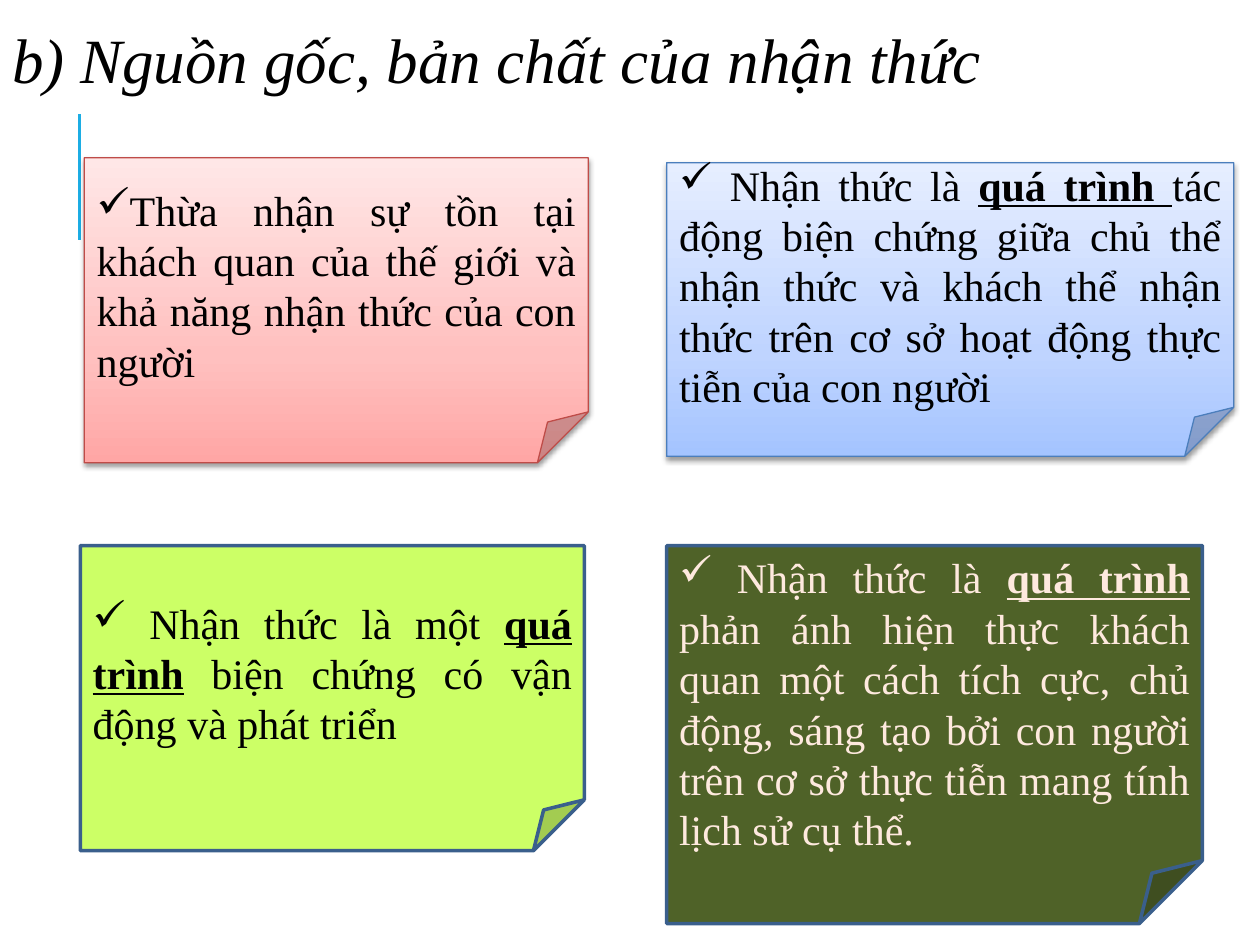
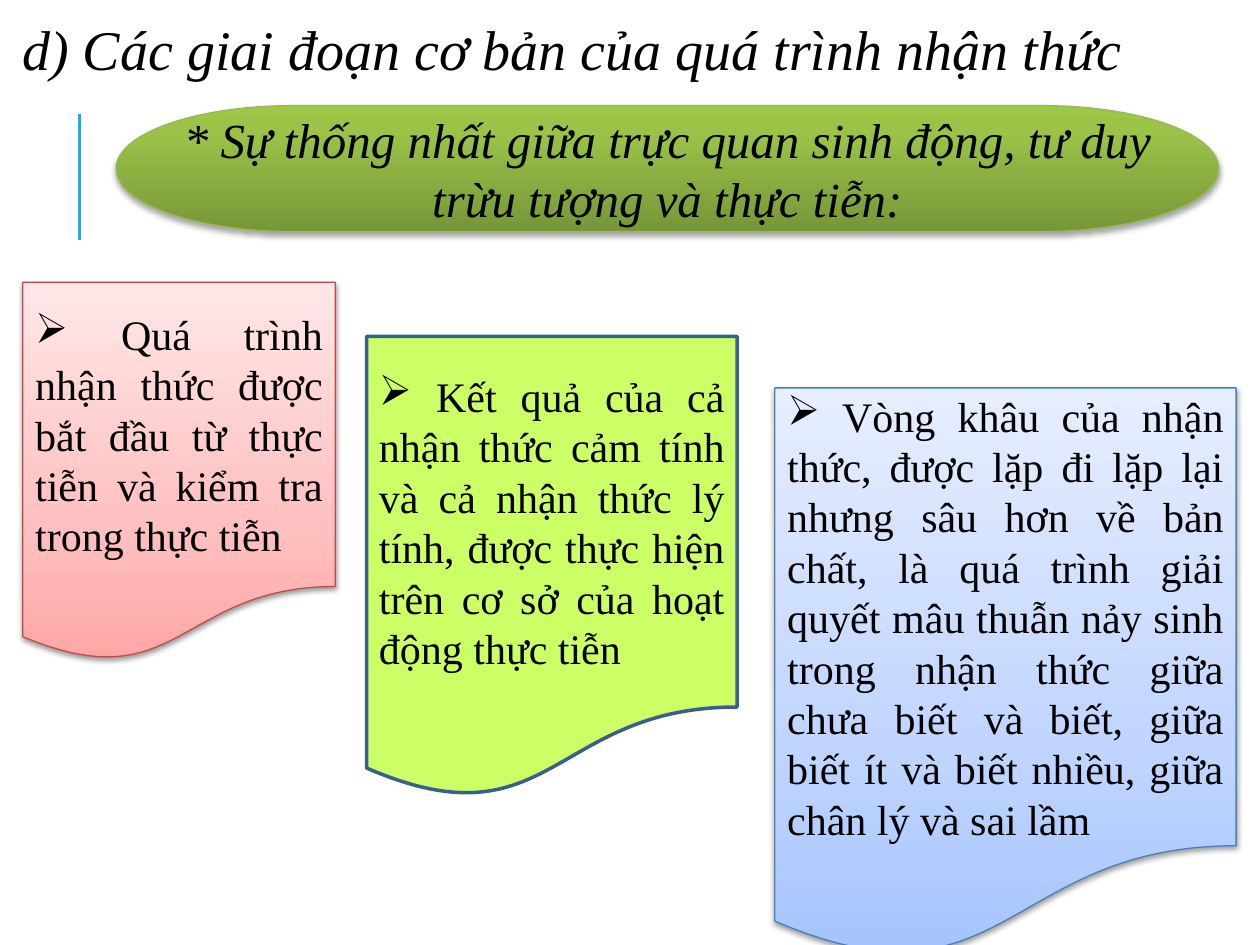
from dataclasses import dataclass

from lxml import etree
from pptx import Presentation
from pptx import util as u
from pptx.dml.color import RGBColor
from pptx.enum import shapes, text
from pptx.oxml.ns import qn

BLACK = RGBColor(0x00, 0x00, 0x00)
CREAM = RGBColor(0xFE, 0xE9, 0xDE)
CYAN = RGBColor(0x1C, 0xAD, 0xE4)
NAVY = RGBColor(0x3A, 0x5F, 0x8C)
LIME = RGBColor(0xCC, 0xFF, 0x66)
OLIVE = RGBColor(0x4F, 0x62, 0x28)
RED = RGBColor(0xBF, 0x4C, 0x48)
PINKS = (RGBColor(0xFF, 0xA6, 0xA5), RGBColor(0xFF, 0xC0, 0xBF), RGBColor(0xFF, 0xE7, 0xE7))
BLUE = RGBColor(0x4B, 0x7E, 0xBC)
PALE_BLUES = (RGBColor(0xA4, 0xC4, 0xFF), RGBColor(0xBF, 0xD4, 0xFF), RGBColor(0xE6, 0xEE, 0xFF))
LEAF = RGBColor(0x98, 0xB9, 0x55)
GREENS = (RGBColor(0x77, 0x97, 0x37), RGBColor(0x9B, 0xC3, 0x48), RGBColor(0x9D, 0xC7, 0x46))


@dataclass(frozen=True)
class Look:
    """Fill of one colour, or of three with a shadow below."""
    colors: tuple
    line: RGBColor = NAVY
    line_width: float = 2
    ink: RGBColor = BLACK
    middle_stop: int = 35
    shadow_alpha: int = 38
    shadow_distance: float = 1.6


PINK_LOOK = Look(PINKS, RED, 0.75)
BLUE_LOOK = Look(PALE_BLUES, BLUE, 0.75)
LIME_LOOK = Look((LIME,))
OLIVE_LOOK = Look((OLIVE,), ink=CREAM)
GREEN_LOOK = Look(GREENS, LEAF, 0.75, middle_stop=80, shadow_alpha=35, shadow_distance=1.8)


def add_color(parent, color, alpha=None):
    node = etree.SubElement(parent, qn("a:srgbClr"), val=str(color))
    if alpha is not None:
        etree.SubElement(node, qn("a:alpha"), val=str(alpha * 1000))


class LessonDeck:
    font_name = "Times New Roman"
    note_size = 24

    def __init__(self):
        self.deck = Presentation()
        self.deck.slide_width, self.deck.slide_height = u.Cm(25.4), u.Cm(19.05)
        self.slide = None

    def new_slide(self):
        self.slide = self.deck.slides.add_slide(self.deck.slide_layouts[6])
        rule = self.slide.shapes.add_connector(
            shapes.MSO_CONNECTOR.STRAIGHT, u.Cm(1.6), u.Cm(4.83), u.Cm(1.6), u.Cm(2.29))
        rule.line.color.rgb = CYAN
        rule.line.width = u.Pt(1.5)
        etree.SubElement(rule._element.spPr, qn("a:effectLst"))

    def add_span(self, para, words, size, color=BLACK, italic=False, strong=False):
        span = para.add_run()
        span.text = words
        font = span.font
        font.name, font.size, font.italic = self.font_name, u.Pt(size), italic
        font.bold = font.underline = strong
        font.color.rgb = color

    def title(self, words, left, width, height, size):
        box = self.slide.shapes.add_textbox(u.Cm(left), 0, u.Cm(width), u.Cm(height))
        frame = box.text_frame
        frame.word_wrap = True
        frame.vertical_anchor = text.MSO_ANCHOR.MIDDLE
        para = frame.paragraphs[0]
        para.line_spacing = 0.9
        self.add_span(para, words, size, italic=True)

    def panel(self, kind, place, look):
        """Add a styled shape and return its first paragraph."""
        shape = self.slide.shapes.add_shape(kind, *map(u.Cm, place))
        shape.shadow.inherit = False
        shape.line.color.rgb = look.line
        shape.line.width = u.Pt(look.line_width)
        if len(look.colors) == 1:
            shape.fill.solid()
            shape.fill.fore_color.rgb = look.colors[0]
        else:
            self.shade(shape, look)
        frame = shape.text_frame
        frame.word_wrap = True
        frame.vertical_anchor = text.MSO_ANCHOR.MIDDLE
        return frame.paragraphs[0]

    def shade(self, shape, look):
        """Give the shape an upward gradient and a soft shadow."""
        shape.fill.gradient()
        shape.fill.gradient_angle = 90
        properties = shape._element.spPr
        stops = properties.find(".//" + qn("a:gsLst"))
        stops.clear()
        for position, color in zip((0, look.middle_stop, 100), look.colors):
            add_color(etree.SubElement(stops, qn("a:gs"), pos=str(position * 1000)), color)
        shadow = etree.SubElement(
            properties.find(qn("a:effectLst")), qn("a:outerShdw"),
            blurRad=str(u.Pt(3.1)), dist=str(u.Pt(look.shadow_distance)),
            dir="5400000", rotWithShape="0")
        add_color(shadow, BLACK, look.shadow_alpha)

    def note(self, kind, place, look, bullet, *pieces):
        """Add a bulleted note; every second piece is bold and underlined."""
        para = self.panel(kind, place, look)
        para.alignment = text.PP_ALIGN.JUSTIFY
        etree.SubElement(para._p.get_or_add_pPr(), qn("a:buChar"), char=bullet)
        for index, piece in enumerate(pieces):
            self.add_span(para, piece, self.note_size, look.ink, strong=index % 2 == 1)

    def banner(self, words, place, look, size):
        para = self.panel(shapes.MSO_SHAPE.FLOWCHART_TERMINATOR, place, look)
        para.alignment = text.PP_ALIGN.CENTER
        self.add_span(para, words, size, look.ink, italic=True)


def build_origin_slide(lesson):
    lesson.new_slide()
    lesson.title("b) Nguồn gốc, bản chất của nhận thức", 0, 25.2, 2.54, 36)
    notes = [
        ((1.7, 3.18, 10.16, 6.15), PINK_LOOK,
         "Thừa nhận sự tồn tại khách quan của thế giới và khả năng nhận thức của con người"),
        ((1.62, 11, 10.16, 6.15), LIME_LOOK,
         " Nhận thức là một ", "quá trình", " biện chứng có vận động và phát triển"),
        ((13.44, 3.28, 11.43, 5.92), BLUE_LOOK,
         " Nhận thức là ", "quá trình ",
         "tác động biện chứng giữa chủ thể nhận thức và khách thể nhận thức "
         "trên cơ sở hoạt động thực tiễn của con người"),
        ((13.44, 11, 10.8, 7.62), OLIVE_LOOK,
         " Nhận thức là ", "quá trình ",
         "phản ánh hiện thực khách quan một cách tích cực, chủ động, sáng tạo "
         "bởi con người trên cơ sở thực tiễn mang tính lịch sử cụ thể."),
    ]
    for place, look, *pieces in notes:
        lesson.note(shapes.MSO_SHAPE.FOLDED_CORNER, place, look, "✓", *pieces)


def build_stages_slide(lesson):
    lesson.new_slide()
    lesson.title("d) Các giai đoạn cơ bản của quá trình nhận thức", 0.2, 25.2, 2.11, 32)
    lesson.banner("* Sự thống nhất giữa trực quan sinh động, tư duy trừu tượng và thực tiễn:",
                  (2.34, 2.13, 22.23, 2.54), GREEN_LOOK, 28)
    notes = [
        ((0.46, 5.69, 6.3, 7.65), PINK_LOOK,
         " Quá trình nhận thức được bắt đầu từ thực tiễn và kiểm tra trong thực tiễn"),
        ((7.39, 6.78, 7.47, 9.32), LIME_LOOK,
         " Kết quả của cả nhận thức cảm tính và cả nhận thức lý tính, "
         "được thực hiện trên cơ sở của hoạt động thực tiễn"),
        ((15.62, 7.82, 9.3, 11.51), BLUE_LOOK,
         " Vòng khâu của nhận thức, được lặp đi lặp lại nhưng sâu hơn về bản chất, "
         "là quá trình giải quyết mâu thuẫn nảy sinh trong nhận thức giữa chưa biết "
         "và biết, giữa biết ít và biết nhiều, giữa chân lý và sai lầm"),
    ]
    for place, look, words in notes:
        lesson.note(shapes.MSO_SHAPE.FLOWCHART_DOCUMENT, place, look, "➢", words)


def main():
    lesson = LessonDeck()
    build_origin_slide(lesson)
    build_stages_slide(lesson)
    lesson.deck.save("out.pptx")


if __name__ == "__main__":
    main()
